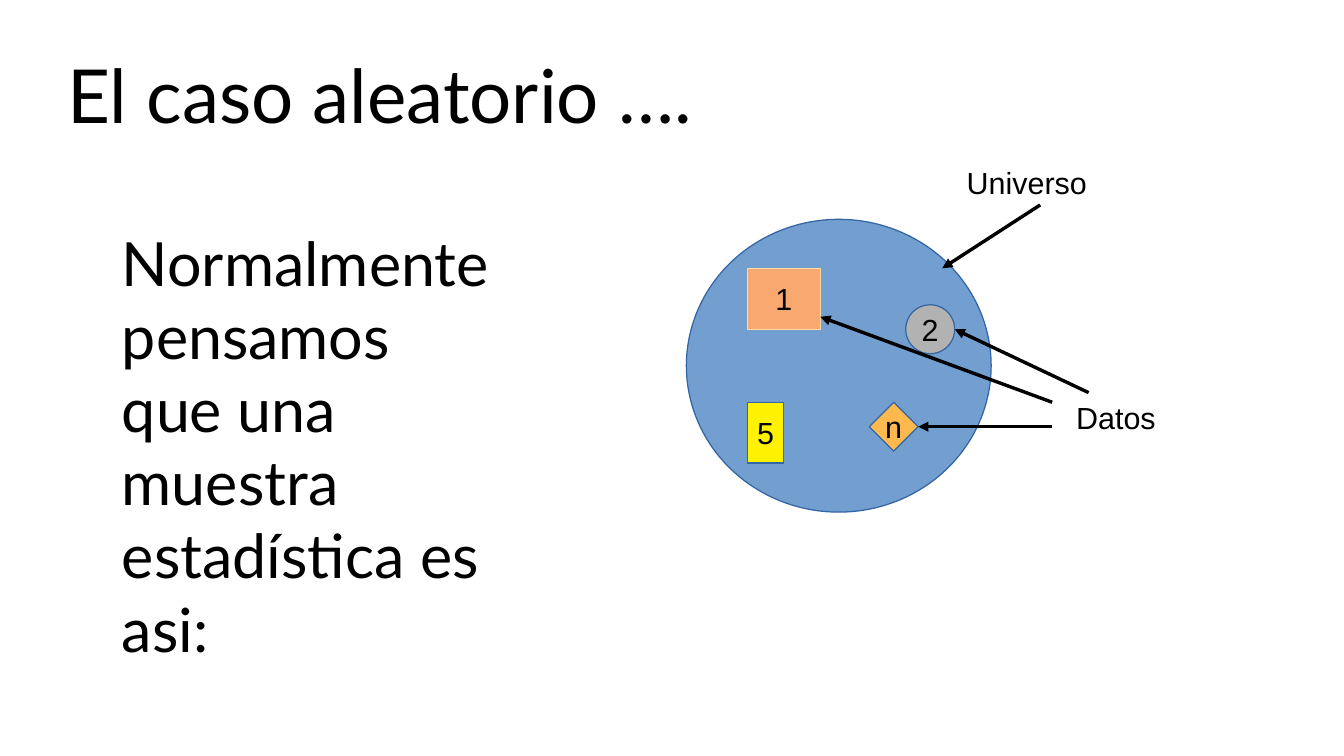
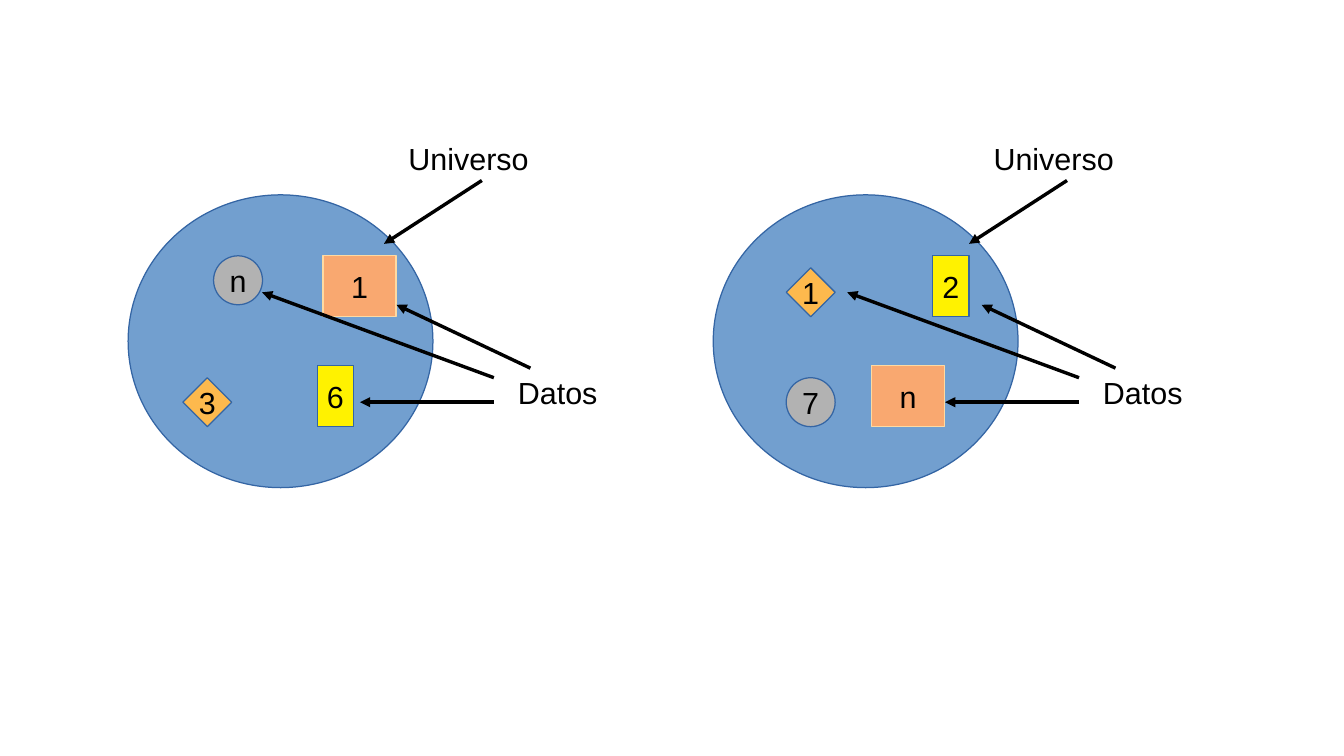
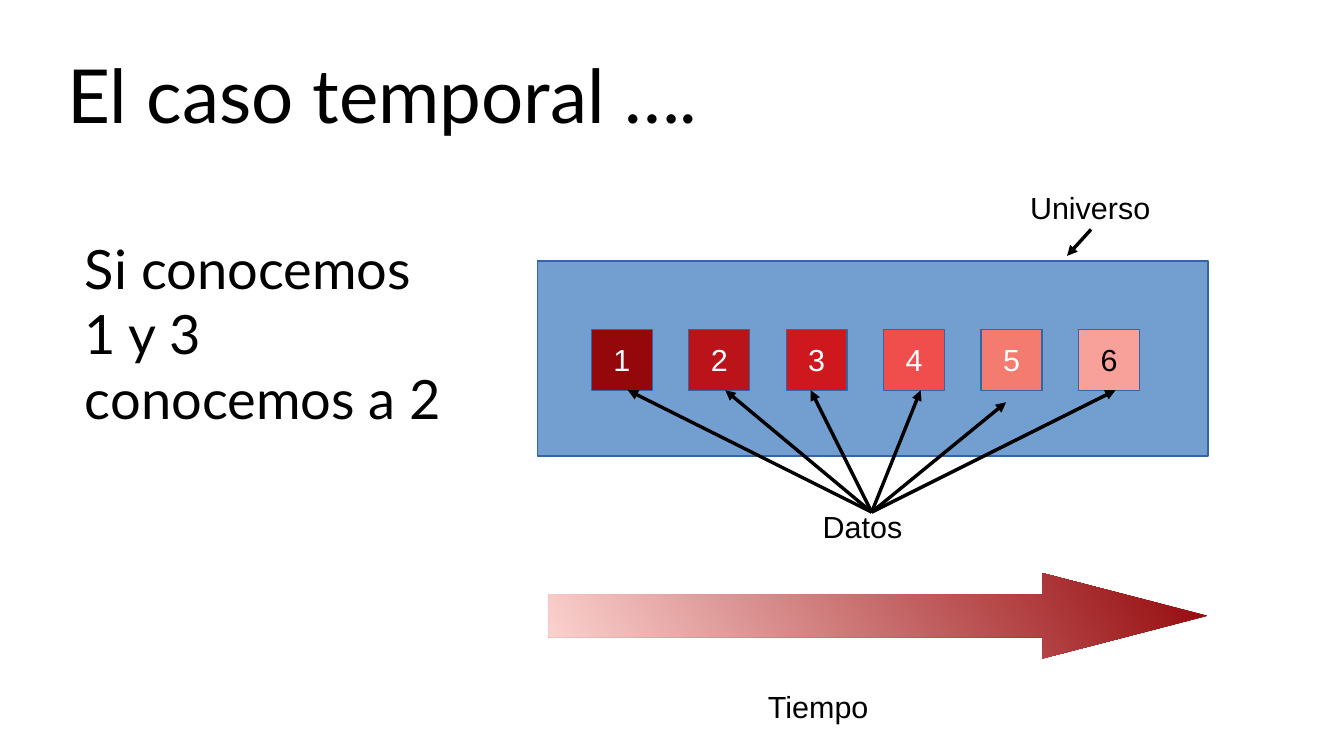
"""Build three slides on random and temporal samples."""
from lxml import etree
from pptx import Presentation, util as u
from pptx.dml.color import RGBColor
from pptx.enum import shapes, text
from pptx.oxml.ns import qn


class Theme:
    ink, white = "000000", "FFFFFF"
    blue, edge = "729FCF", "3465A4"
    peach, rim = "F9A870", "FFDAA2"
    gray, yellow, amber = "B2B2B2", "FFF200", "FDB94D"
    reds = ["94070A", "BA131A", "CE181E", "F04E4D", "F37B70", "F7A19A"]
    dark, pale = "94070A", "FCD4D1"
    head, sans = "Lato", "Arial"
    title, body, note, label = 44, 36, 32, 18


kind = shapes.MSO_SHAPE
mid = text.MSO_ANCHOR.MIDDLE


def put(sld, form, box, words="", fill=None, line=Theme.edge, ink=Theme.ink,
        size=Theme.label, font=Theme.sans):
    """Add a filled shape, or a text box when form is None."""
    area = [u.Cm(n) for n in box]
    if form is None:
        item = sld.shapes.add_textbox(*area)
    else:
        item = sld.shapes.add_shape(form, *area)
        item.shadow.inherit = False
        item.fill.solid()
        item.fill.fore_color.rgb = RGBColor.from_string(fill)
        item.line.color.rgb = RGBColor.from_string(line)
        item.line.width = u.Pt(0)
    frame = item.text_frame
    frame.word_wrap = form is None
    if words:
        frame.text = words
        para = frame.paragraphs[0]
        if form is not None:
            frame.vertical_anchor = mid
            para.alignment = text.PP_ALIGN.CENTER
        face = para.runs[0].font
        face.name, face.size = font, u.Pt(size)
        face.color.rgb = RGBColor.from_string(ink)
    return item


def point(sld, start, tip):
    """Add a hairline arrow."""
    ends = [u.Cm(n) for n in (*start, *tip)]
    wire = sld.shapes.add_connector(shapes.MSO_CONNECTOR.STRAIGHT, *ends)
    wire.line.color.rgb = RGBColor.from_string(Theme.ink)
    wire.line.width = u.Pt(0)
    etree.SubElement(wire.line._get_or_add_ln(), qn("a:tailEnd"), type="triangle")
    etree.SubElement(wire._element.spPr, qn("a:effectLst"))
    return wire


deck = Presentation()
deck.slide_width, deck.slide_height = u.Cm(28), u.Cm(15.75)
first, pair, last = [deck.slides.add_slide(deck.slide_layouts[6]) for _ in range(3)]

for sld, words in ((first, "El caso aleatorio …."), (last, "El caso temporal ….")):
    head = put(sld, None, (1.4, 0.64, 25.2, 2.64), words, size=Theme.title, font=Theme.head)
    frame = head.text_frame
    frame.vertical_anchor = mid
    frame.margin_left = frame.margin_right = frame.margin_top = frame.margin_bottom = 0

put(first, None, (2.29, 4.57, 8.38, 9.4),
    "Normalmente pensamos que una muestra estadística es asi:",
    size=Theme.body, font=Theme.head)

forms = [
    (kind.RECTANGLE, 1.52, 1.27, Theme.peach, Theme.rim),
    (kind.OVAL, 1.02, 1.02, Theme.gray, Theme.edge),
    (kind.RECTANGLE, 0.76, 1.27, Theme.yellow, Theme.edge),
    (kind.DIAMOND, 1.02, 1.02, Theme.amber, Theme.edge),
]
worlds = [
    (first, 14.3, 4.57, "125n", [(1.27, 1.02), (4.57, 1.78), (1.27, 3.81), (3.81, 3.81)]),
    (pair, 2.67, 4.06, "1n63", [(4.06, 1.27), (1.78, 1.27), (3.94, 3.56), (1.14, 3.81)]),
    (pair, 14.86, 4.06, "n721", [(3.3, 3.56), (1.52, 3.81), (4.57, 1.27), (1.52, 1.52)]),
]
rays = [
    ((7.37, -0.3), (5.33, 1.02)),
    ((8.38, 3.61), (5.59, 2.29)),
    ((7.62, 3.81), (2.79, 2.03)),
    ((7.62, 4.32), (4.83, 4.32)),
]
for sld, left, top, marks, spots in worlds:
    put(sld, kind.OVAL, (left, top, 6.35, 6.1), fill=Theme.blue)
    for (form, wide, high, fill, line), mark, (x, y) in zip(forms, marks, spots):
        token = put(sld, form, (left + x, top + y, wide, high), mark, fill, line)
    put(sld, None, (left + 5.59, top - 1.27, 3.05, 0.97), "Universo")
    put(sld, None, (left + 7.87, top + 3.61, 2.2, 0.97), "Datos")
    for (ax, ay), (bx, by) in rays:
        wire = point(sld, (left + ax, top + ay), (left + bx, top + by))
    if sld is first:
        wire.end_connect(token, 3)

put(last, kind.RECTANGLE, (11.2, 5.44, 13.97, 4.06), fill=Theme.blue)
for i, red in enumerate(Theme.reds):
    ink = Theme.white if i < 5 else Theme.ink
    put(last, kind.RECTANGLE, (12.32 + 2.03 * i, 6.86, 1.27, 1.27), str(i + 1), red, ink=ink)
put(last, None, (21.21, 3.81, 3.05, 0.97), "Universo")
point(last, (22.73, 4.78), (22.23, 5.33))
put(last, None, (16.89, 10.46, 2.2, 0.97), "Datos")
tips = [(13.08, 8.13), (15.11, 8.13), (16.89, 8.13), (19.18, 8.13), (20.96, 8.38), (23.24, 8.13)]
for tip in tips:
    point(last, (18.16, 10.67), tip)
put(last, None, (1.52, 4.78, 8.13, 5.89), "Si conocemos 1 y 3 conocemos a 2",
    size=Theme.note, font=Theme.head)

time = put(last, kind.RIGHT_ARROW, (11.43, 11.94, 13.72, 1.78), fill=Theme.dark)
time.adjustments[0], time.adjustments[1] = 0.5, 1.93
time.line.fill.background()
time.fill.gradient()
time.fill.gradient_angle = 210
for stop, spot, tone in zip(time.fill.gradient_stops, (0, 1), (Theme.dark, Theme.pale)):
    stop.position = spot
    stop.color.rgb = RGBColor.from_string(tone)
put(last, None, (15.75, 14.22, 3.81, 0.97), "Tiempo")

deck.save("out.pptx")
